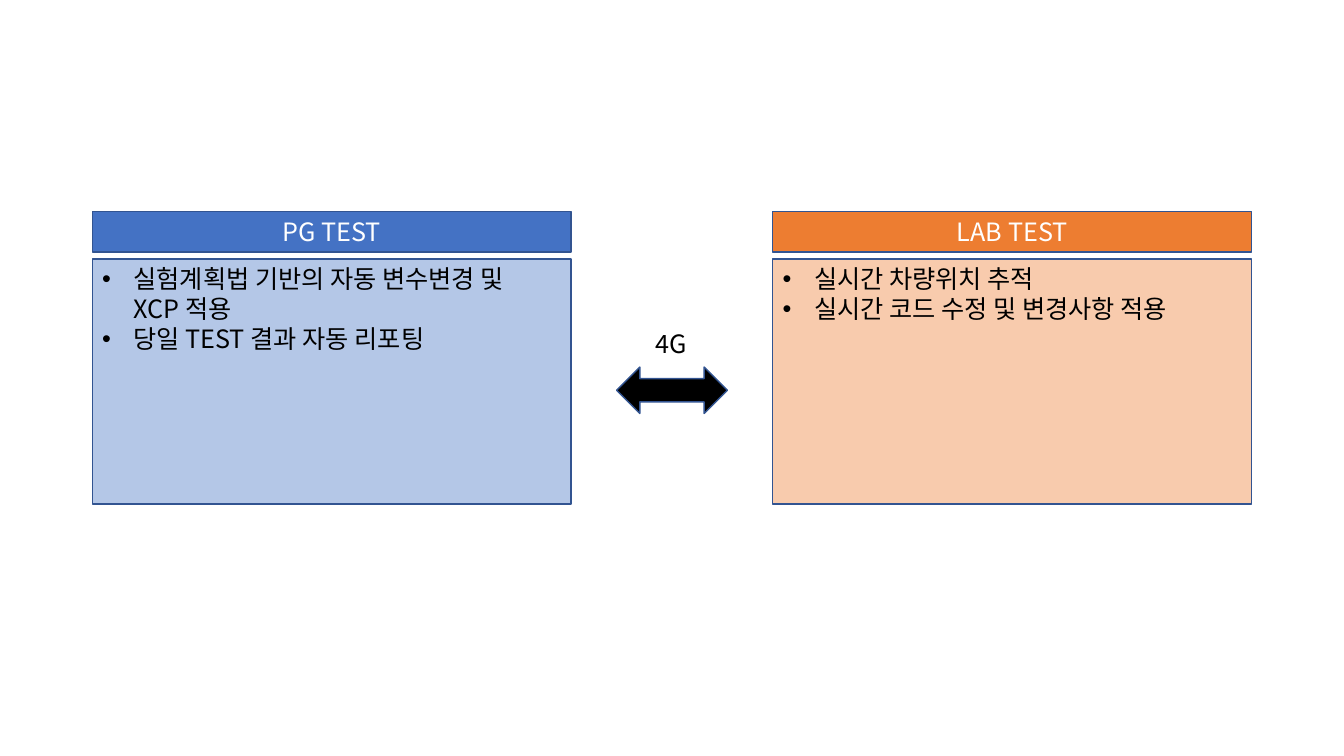
import pptx
import pptx.util
import pptx.dml.color
import pptx.enum.shapes
import pptx.enum.text
import pptx.oxml.ns
import lxml.etree

Cm = pptx.util.Cm
Pt = pptx.util.Pt
SHAPES = pptx.enum.shapes.MSO_SHAPE
ALIGN = pptx.enum.text.PP_ALIGN
ANCHOR = pptx.enum.text.MSO_ANCHOR

FONT = "Noto Sans CJK KR"
COLOURS = {
    "blue": "4472C4", "pale blue": "B4C7E7",
    "orange": "ED7D31", "pale orange": "F8CBAD",
    "outline": "325491", "black": "000000", "white": "FFFFFF",
}
PANELS = [
    ("PG TEST", "blue", "pale blue",
     ["실험계획법 기반의 자동 변수변경 및 XCP 적용", "당일 TEST 결과 자동 리포팅"]),
    ("LAB TEST", "orange", "pale orange",
     ["실시간 차량위치 추적", "실시간 코드 수정 및 변경사항 적용"]),
]
LINK_LABEL = "4G"

# Lengths in centimetres
PAGE_WIDTH, PAGE_HEIGHT = 33.87, 19.05
PANEL_WIDTH, PANEL_GAP = 12.07, 5.08
PANEL_LEFT = (PAGE_WIDTH - 2 * PANEL_WIDTH - PANEL_GAP) / 2
HEADER_TOP, HEADER_HEIGHT = 5.33, 1.02
BODY_TOP, BODY_HEIGHT = 6.53, 6.17
ARROW_TOP, ARROW_WIDTH, ARROW_HEIGHT = 9.25, 2.79, 1.17
LABEL_TOP, LABEL_WIDTH, LABEL_HEIGHT = 8.15, 1.32, 1.02
BULLET_INDENT = 0.79
BODY_RIGHT_INSET = 0.5


def colour(name):
    """Return the named colour as an RGB value."""
    return pptx.dml.color.RGBColor.from_string(COLOURS[name])


def add_bullet(para):
    """Give a paragraph a hanging round bullet."""
    properties = para._p.get_or_add_pPr()
    indent = Cm(BULLET_INDENT)
    properties.set("marL", str(indent))
    properties.set("indent", str(-indent))
    for tag, key, value in (("a:buFont", "typeface", "Arial"), ("a:buChar", "char", "•")):
        lxml.etree.SubElement(properties, pptx.oxml.ns.qn(tag)).set(key, value)


def write_text(box, lines, ink="black", align=ALIGN.LEFT, anchor=ANCHOR.TOP,
               bullets=False, wrap=True):
    """Fill a box with one paragraph for each line."""
    frame = box.text_frame
    frame.word_wrap = wrap
    frame.vertical_anchor = anchor
    for number, line in enumerate(lines):
        para = frame.add_paragraph() if number else frame.paragraphs[0]
        para.alignment = align
        para.line_spacing = Pt(21.4)
        if bullets:
            add_bullet(para)
        span = para.add_run()
        span.text = line
        span.font.size = Pt(18)
        span.font.name = FONT
        span.font.color.rgb = colour(ink)
        east_asian = lxml.etree.SubElement(span.font._element, pptx.oxml.ns.qn("a:ea"))
        east_asian.set("typeface", FONT)


def add_box(page, kind, left, top, width, height, fill):
    """Add a filled shape with the common outline."""
    box = page.shapes.add_shape(kind, Cm(left), Cm(top), Cm(width), Cm(height))
    box.shadow.inherit = False
    box.fill.solid()
    box.fill.fore_color.rgb = colour(fill)
    box.line.color.rgb = colour("outline")
    box.line.width = Pt(1)
    return box


def add_panel(page, left, title, header_fill, body_fill, points):
    """Add a titled header with its bulleted body below."""
    header = add_box(page, SHAPES.RECTANGLE, left, HEADER_TOP,
                     PANEL_WIDTH, HEADER_HEIGHT, header_fill)
    write_text(header, [title], ink="white", align=ALIGN.CENTER, anchor=ANCHOR.MIDDLE)
    body = add_box(page, SHAPES.RECTANGLE, left, BODY_TOP,
                   PANEL_WIDTH, BODY_HEIGHT, body_fill)
    body.text_frame.margin_right = Cm(BODY_RIGHT_INSET)
    write_text(body, points, bullets=True)


def add_link(page):
    """Add the double arrow and its label midway between the panels."""
    centre = PAGE_WIDTH / 2
    add_box(page, SHAPES.LEFT_RIGHT_ARROW, centre - ARROW_WIDTH / 2, ARROW_TOP,
            ARROW_WIDTH, ARROW_HEIGHT, "black")
    label = page.shapes.add_textbox(Cm(centre - LABEL_WIDTH / 2), Cm(LABEL_TOP),
                                    Cm(LABEL_WIDTH), Cm(LABEL_HEIGHT))
    write_text(label, [LINK_LABEL], wrap=False)


deck = pptx.Presentation()
deck.slide_width, deck.slide_height = Cm(PAGE_WIDTH), Cm(PAGE_HEIGHT)
page = deck.slides.add_slide(deck.slide_layouts[6])
for column, panel in enumerate(PANELS):
    add_panel(page, PANEL_LEFT + column * (PANEL_WIDTH + PANEL_GAP), *panel)
add_link(page)
deck.save("out.pptx")
